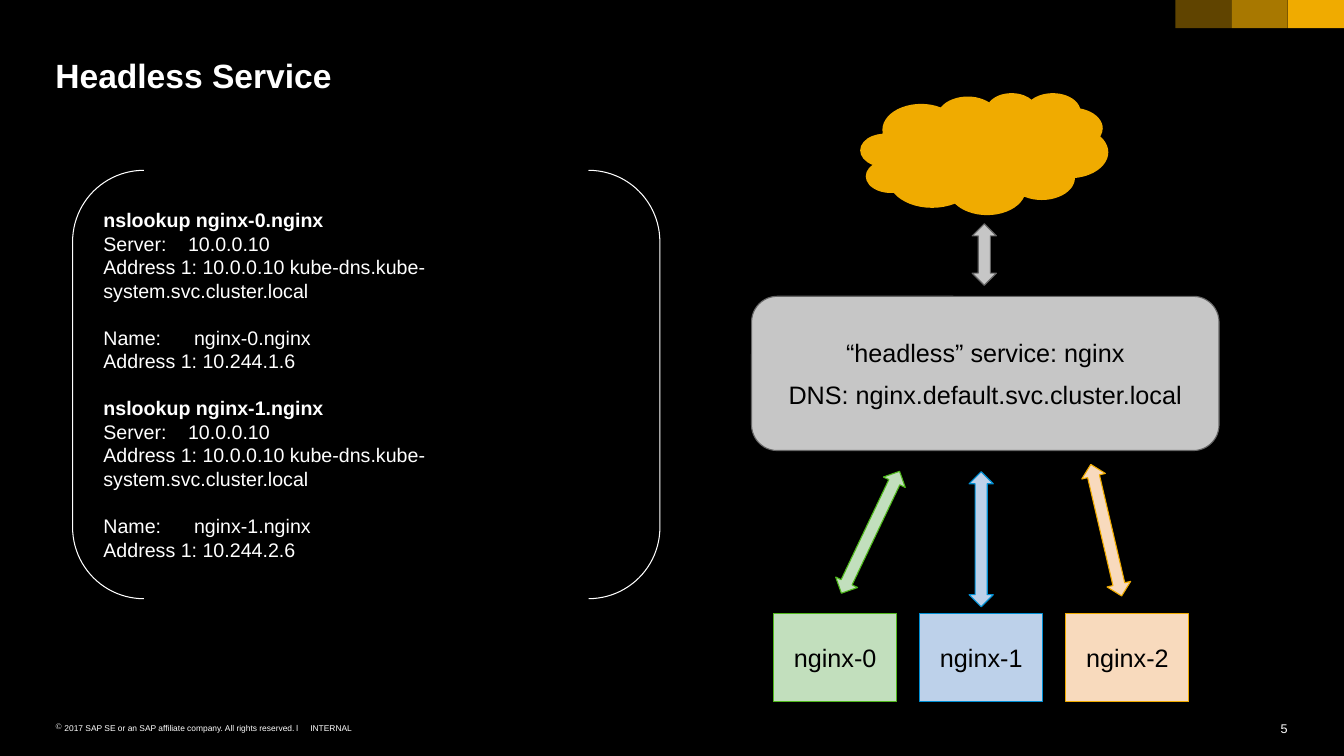
from dataclasses import dataclass

from lxml import etree
from pptx import Presentation
from pptx.dml.color import RGBColor
from pptx.enum.shapes import MSO_SHAPE
from pptx.enum.text import MSO_ANCHOR, PP_ALIGN
from pptx.oxml.ns import qn
from pptx.util import Inches, Pt

RECT, ROUND_RECT = MSO_SHAPE.RECTANGLE, MSO_SHAPE.ROUNDED_RECTANGLE
CLOUD, BRACKETS = MSO_SHAPE.CLOUD, MSO_SHAPE.DOUBLE_BRACKET
UP_DOWN = MSO_SHAPE.UP_DOWN_ARROW
LEFT, CENTER, RIGHT = PP_ALIGN.LEFT, PP_ALIGN.CENTER, PP_ALIGN.RIGHT
TOP, MIDDLE = MSO_ANCHOR.TOP, MSO_ANCHOR.MIDDLE


@dataclass(frozen=True)
class Theme:
    font: str = "Arial"
    back: str = "000000"
    ink: str = "FFFFFF"
    dark_ink: str = "000000"
    accent: str = "F0AB00"
    grey: tuple = ("C6C6C6", "666666")
    green: tuple = ("C2DFBD", "4FB81C")
    blue: tuple = ("BDD1EA", "008FD3")
    orange: tuple = ("F8DABD", "F0AB00")
    title: float = 24
    label: float = 18
    code: float = 14
    code_line: float = 16.8
    number: float = 9
    footer: float = 6


def rgb(code):
    return RGBColor.from_string(code)


def add_text(tf, text, size, color, font, bold=False, align=LEFT, before=0,
             line=None, tab=None, bullet=None):
    """Fill the empty first paragraph, or append one; tab is in inches."""
    first = not tf.paragraphs[0].runs
    p = tf.paragraphs[0] if first else tf.add_paragraph()
    p.alignment = align
    pPr = p._p.get_or_add_pPr()
    if bullet:
        pPr.set("marL", str(Inches(0.09)))
        pPr.set("indent", str(-Inches(0.09)))
        etree.SubElement(pPr, qn("a:buChar"), char=bullet)
    if tab:
        tabs = etree.SubElement(pPr, qn("a:tabLst"))
        etree.SubElement(tabs, qn("a:tab"), pos=str(Inches(tab)), algn="l")
    if line:
        p.line_spacing = Pt(line)
    p.space_before = Pt(0 if first else before)
    r = p.add_run()
    r.text = text
    r.font.name, r.font.size, r.font.bold = font, Pt(size), bold
    r.font.color.rgb = rgb(color)


class Deck:
    """Lengths are percentages of the slide's width and height."""

    def __init__(self, theme):
        self.theme = theme
        self.prs = Presentation()
        self.prs.slide_width, self.prs.slide_height = Inches(13.34), Inches(7.5)
        self.s = self.prs.slides.add_slide(self.prs.slide_layouts[6])
        fill = self.s.background.fill
        fill.solid()
        fill.fore_color.rgb = rgb(theme.back)

    def box(self, x, y, w, h):
        sw, sh = self.prs.slide_width, self.prs.slide_height
        return [int(v * side / 100) for v, side in zip((x, y, w, h), (sw, sh, sw, sh))]

    def text(self, at, text, size, wrap=True, **fmt):
        tf = self.s.shapes.add_textbox(*self.box(*at)).text_frame
        tf.word_wrap, tf.vertical_anchor = wrap, TOP
        tf.margin_left = tf.margin_right = tf.margin_top = tf.margin_bottom = 0
        add_text(tf, text, size, self.theme.ink, self.theme.font, **fmt)

    def shape(self, kind, at, fill=None, line=None, width=0.79, rotation=0, opacity=100):
        sp = self.s.shapes.add_shape(kind, *self.box(*at))
        sp.shadow.inherit = False
        sp.rotation = rotation
        if fill:
            sp.fill.solid()
            sp.fill.fore_color.rgb = rgb(fill)
        else:
            sp.fill.background()
        if opacity < 100:
            color = sp._element.spPr.find(".//" + qn("a:srgbClr"))
            etree.SubElement(color, qn("a:alpha"), val=str(opacity * 1000))
        if line:
            sp.line.color.rgb, sp.line.width = rgb(line), Pt(width)
        else:
            sp.line.fill.background()
        return sp

    def node(self, kind, at, colors, *lines):
        t = self.theme
        tf = self.shape(kind, at, *colors).text_frame
        tf.word_wrap, tf.vertical_anchor = True, MIDDLE
        tf.margin_top = tf.margin_bottom = Inches(0.08)
        for line in lines:
            add_text(tf, line, t.label, t.dark_ink, t.font, align=CENTER, before=t.label / 2)

    def console(self, at, blocks):
        """Draw brackets around blocks of (text, tab) lines, a gap between blocks."""
        t = self.theme
        tf = self.shape(BRACKETS, at, line=t.ink, width=0.75).text_frame
        tf.word_wrap, tf.vertical_anchor = True, MIDDLE
        for block in blocks:
            for i, (line, tab) in enumerate(block):
                add_text(tf, line, t.code, t.ink, t.font, tab=tab, line=t.code_line,
                         bold=line.startswith("nslookup"),
                         before=0 if i else t.code_line)


def lookup(name, address):
    return [
        [(f"nslookup {name}", None),
         ("Server:\t10.0.0.10", 0.84),
         ("Address 1: 10.0.0.10 kube-dns.kube-system.svc.cluster.local", None)],
        [(f"Name:\t{name}", 0.9),
         (f"Address 1: {address}", None)],
    ]


def main():
    t = Theme()
    d = Deck(t)

    swatch = 4.18
    for i, opacity in enumerate((100, 70, 40), 1):
        d.shape(RECT, (100 - swatch * i, 0, swatch, 3.73), t.accent, opacity=opacity)

    d.text((4.12, 7.33, 91.68, 5.33), "Headless Service", t.title, bold=True)
    d.console((5.4, 22.53, 43.7, 56.67),
              lookup("nginx-0.nginx", "10.244.1.6") + lookup("nginx-1.nginx", "10.244.2.6"))

    d.shape(CLOUD, (64.02, 12.27, 18.44, 16.13), t.accent)
    d.shape(UP_DOWN, (72.34, 29.6, 1.8, 8.13), *t.grey)
    d.node(ROUND_RECT, (55.92, 39.2, 34.78, 20.4), t.grey,
           "“headless” service: nginx", "DNS: nginx.default.svc.cluster.local")

    pods = ((t.green, 63.87, 61.47, 25.5), (t.blue, 72.11, 62.4, 0),
            (t.orange, 81.41, 61.2, 346.8))
    for i, (colors, x, y, rotation) in enumerate(pods):
        d.shape(UP_DOWN, (x, y, 1.8, 17.87), *colors, rotation=rotation)
        d.node(RECT, (57.57 + 10.87 * i, 81.2, 9.15, 11.6), colors, f"nginx-{i}")

    d.text((4.12, 95.6, 18.59, 1.33),
           "2017 SAP SE or an SAP affiliate company. All rights reserved.\tǀ",
           t.footer, bullet="©", tab=2.42)
    d.text((23.09, 95.6, 3.15, 1.33), "INTERNAL", t.footer, wrap=False)
    d.text((94.68, 95.33, 1.12, 2), "5", t.number, align=RIGHT)

    d.prs.save("out.pptx")


if __name__ == "__main__":
    main()
